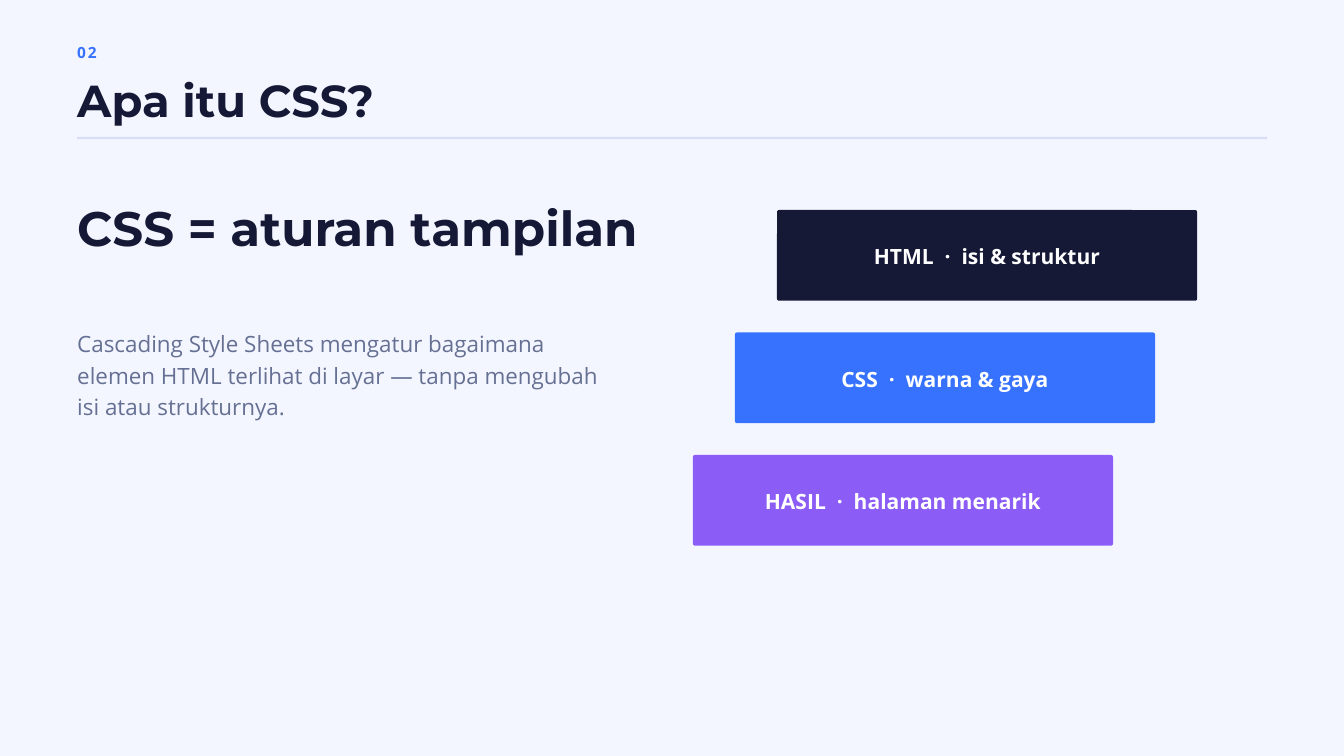
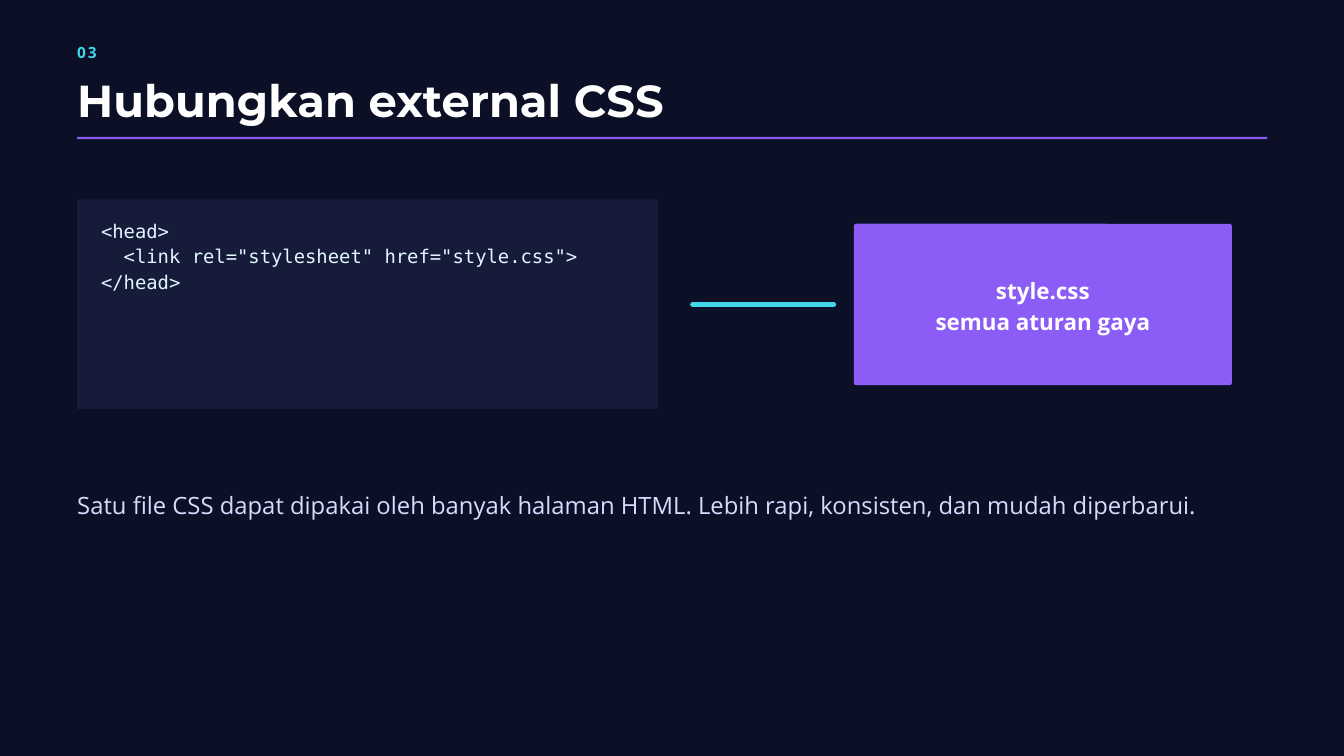
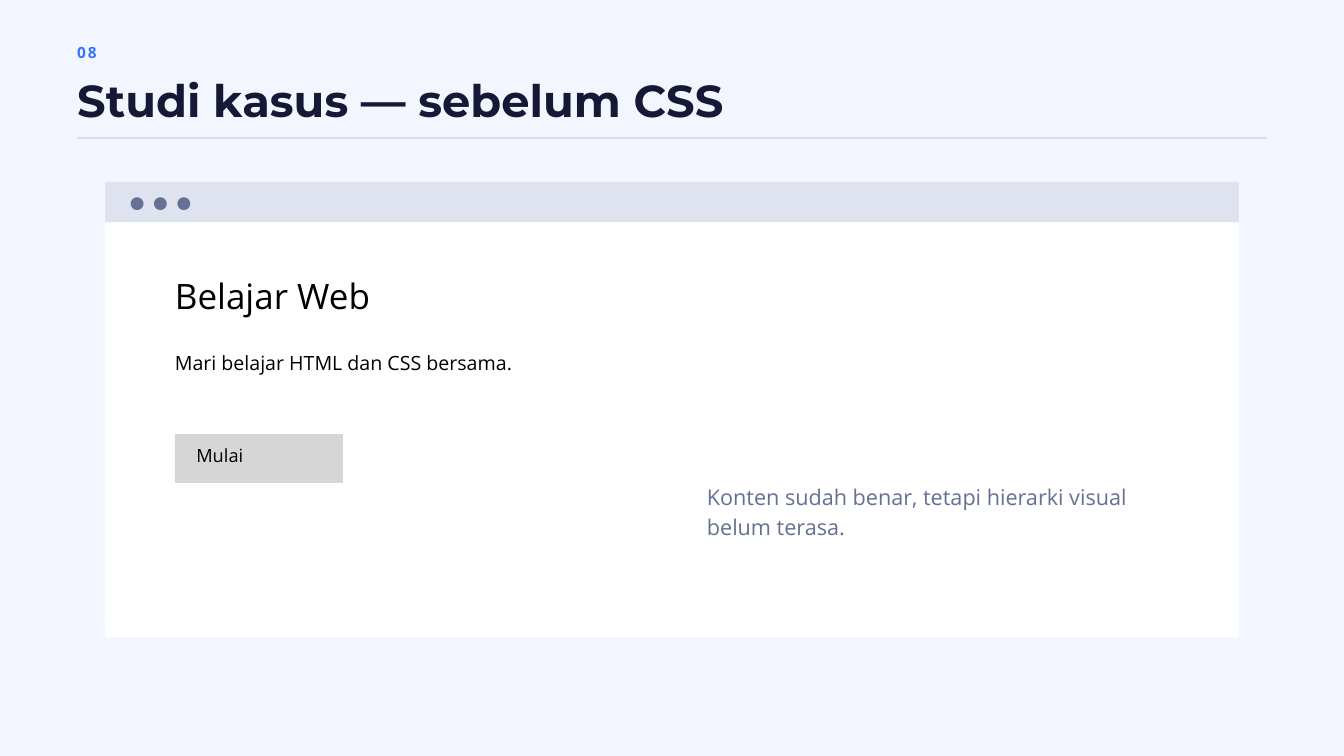
"""Build three slides of an introduction to CSS."""
from dataclasses import dataclass
from typing import NamedTuple

from lxml import etree
from pptx import Presentation
from pptx.dml.color import RGBColor
from pptx.enum.shapes import MSO_CONNECTOR, MSO_SHAPE
from pptx.enum.text import MSO_ANCHOR, PP_ALIGN
from pptx.oxml.ns import qn
from pptx.util import Cm, Pt

RECTANGLE = MSO_SHAPE.RECTANGLE
ROUNDED = MSO_SHAPE.ROUNDED_RECTANGLE
STRAIGHT = MSO_CONNECTOR.STRAIGHT
TOP, MIDDLE = MSO_ANCHOR.TOP, MSO_ANCHOR.MIDDLE
LEFT, CENTER = PP_ALIGN.LEFT, PP_ALIGN.CENTER


class Box(NamedTuple):
    """A place on the slide, in centimetres."""

    left: float
    top: float
    width: float
    height: float

    def inner(self, dx, dy, width, height):
        """Return a box placed relative to this one."""
        return Box(self.left + dx, self.top + dy, width, height)

    def lengths(self):
        """Return the four lengths for python-pptx."""
        return [Cm(length) for length in self]


class TextStyle(NamedTuple):
    """A font with its size in points and its leading."""

    size: float
    font: str = "Open Sans"
    bold: bool = False
    leading: float = 1.4
    tracking: float = 0


class Palette(NamedTuple):
    """The colours of a light or dark slide."""

    background: str
    number: str
    title: str
    rule: str
    body: str


@dataclass(frozen=True)
class Theme:
    """Colours and type sizes of the deck."""

    navy: str = "151936"
    blue: str = "3772FF"
    violet: str = "8B5CF6"
    cyan: str = "42D7E8"
    slate: str = "657093"
    white: str = "FFFFFF"
    black: str = "000000"
    code_panel: str = "151B38"
    code_text: str = "DFF7FF"
    browser_bar: str = "DFE3EF"
    button: str = "D6D6D6"
    light: Palette = Palette("F4F6FF", blue, navy, "D8DEF5", slate)
    dark: Palette = Palette("0B1026", cyan, white, violet, "D7DCFF")

    number: TextStyle = TextStyle(16.5, bold=True, tracking=2)
    title: TextStyle = TextStyle(48, "Montserrat", True, 1.05)
    headline: TextStyle = TextStyle(51.8, "Montserrat", True, 1.05)
    body: TextStyle = TextStyle(24)
    layer: TextStyle = TextStyle(22.5, bold=True)
    card: TextStyle = TextStyle(24, bold=True)
    code: TextStyle = TextStyle(20.2, "DejaVu Sans Mono", leading=1.35)
    note: TextStyle = TextStyle(25.5)
    dots: TextStyle = TextStyle(18)
    page_heading: TextStyle = TextStyle(37.5)
    page_text: TextStyle = TextStyle(21)
    button_text: TextStyle = TextStyle(19.5)
    remark: TextStyle = TextStyle(23.2)


THEME = Theme()
PAGE = Box(0, 0, 50.8, 28.58)
MARGIN = 2.92
CORNER = 0.08
LABEL_INSETS = (0.15, 0.08, 0.15, 0.15)


def write(frame, lines, style, color, align=LEFT, anchor=TOP, insets=(0, 0, 0, 0)):
    """Fill a text frame with one paragraph per line."""
    frame.word_wrap = True
    frame.vertical_anchor = anchor
    (frame.margin_left, frame.margin_top,
     frame.margin_right, frame.margin_bottom) = [Cm(inset) for inset in insets]
    for index, line in enumerate(lines):
        paragraph = frame.add_paragraph() if index else frame.paragraphs[0]
        paragraph.alignment = align
        paragraph.line_spacing = Pt(style.size * style.leading)
        run = paragraph.add_run()
        run.text = line
        run.font.name = style.font
        run.font.size = Pt(style.size)
        run.font.bold = style.bold
        run.font.color.rgb = RGBColor.from_string(color)
        if style.tracking:
            run._r.get_or_add_rPr().set("spc", str(int(style.tracking * 100)))


def add_text(slide, box, text, style, color):
    """Add a text box without insets."""
    write(slide.shapes.add_textbox(*box.lengths()).text_frame, [text], style, color)


def add_panel(slide, box, color, outline=RECTANGLE):
    """Add a flat filled shape."""
    panel = slide.shapes.add_shape(outline, *box.lengths())
    panel.shadow.inherit = False
    panel.fill.solid()
    panel.fill.fore_color.rgb = RGBColor.from_string(color)
    panel.line.fill.background()
    return panel


def add_label_card(slide, box, lines, style, color):
    """Add a slightly rounded card with centred white text."""
    card = add_panel(slide, box, color, ROUNDED)
    card.adjustments[0] = CORNER / box.height
    write(card.text_frame, lines, style, THEME.white, CENTER, MIDDLE, LABEL_INSETS)


def add_link_line(slide, left, right, y):
    """Add the round-ended line between code and file."""
    link = slide.shapes.add_connector(STRAIGHT, Cm(left), Cm(y), Cm(right), Cm(y))
    link.line.color.rgb = RGBColor.from_string(THEME.cyan)
    link.line.width = Pt(6)
    properties = link._element.spPr
    properties.find(qn("a:ln")).set("cap", "rnd")
    etree.SubElement(properties, qn("a:effectLst"))


def add_slide(deck, number, title, palette):
    """Add a slide with background, number, title and rule."""
    slide = deck.slides.add_slide(deck.slide_layouts[6])
    slide.background.fill.solid()
    slide.background.fill.fore_color.rgb = RGBColor.from_string(palette.background)
    header = Box(MARGIN, 1.52, 44.98, 3.74)
    add_text(slide, header.inner(0, 0, 4.78, 0.79), number, THEME.number, palette.number)
    add_text(slide, header.inner(0, 1.48, 39.68, 1.8), title, THEME.title, palette.title)
    add_panel(slide, header.inner(0, 3.66, header.width, 0.08), palette.rule)
    return slide


def add_layers(slide, box):
    """Stack the three layers, each stepping down and to the left."""
    layers = [
        ("HTML  ·  isi & struktur", THEME.navy),
        ("CSS  ·  warna & gaya", THEME.blue),
        ("HASIL  ·  halaman menarik", THEME.violet),
    ]
    width, height = 15.88, 3.43
    step_x = (box.width - width) / (len(layers) - 1)
    step_y = (box.height - height) / (len(layers) - 1)
    for index, (label, color) in enumerate(layers):
        layer = box.inner(box.width - width - index * step_x, index * step_y, width, height)
        add_label_card(slide, layer, [label], THEME.layer, color)


def add_code_panel(slide, box):
    """Add the panel with the link element."""
    panel = add_panel(slide, box, THEME.code_panel)
    code = ["<head>", '  <link rel="stylesheet" href="style.css">', "</head>"]
    write(panel.text_frame, code, THEME.code, THEME.code_text, insets=(0.9, 0.66, 0.9, 0))


def add_browser(slide, box):
    """Draw the unstyled page in a browser window."""
    add_panel(slide, box, THEME.white)
    add_panel(slide, box.inner(0, 0, box.width, 1.52), THEME.browser_bar)
    add_text(slide, box.inner(0.94, 0.25, 4.78, 0.84), "●  ●  ●", THEME.dots, THEME.slate)
    indent = 2.64
    add_text(slide, box.inner(indent, 3.23, 26.47, 1.8), "Belajar Web",
             THEME.page_heading, THEME.black)
    add_text(slide, box.inner(indent, 6.25, 26.47, 0.99),
             "Mari belajar HTML dan CSS bersama.", THEME.page_text, THEME.black)
    button = add_panel(slide, box.inner(indent, 9.53, 6.35, 1.85), THEME.button)
    write(button.text_frame, ["Mulai"], THEME.button_text, THEME.black,
          insets=(0.81, 0.25, 0, 0))
    add_text(slide, box.inner(22.75, 11.25, 17.2, 2.24),
             "Konten sudah benar, tetapi hierarki visual belum terasa.",
             THEME.remark, THEME.slate)


def build_definition(deck):
    """Build the slide that explains what CSS is."""
    slide = add_slide(deck, "02", "Apa itu CSS?", THEME.light)
    add_text(slide, Box(MARGIN, 7.75, 21.69, 1.96), "CSS = aturan tampilan",
             THEME.headline, THEME.light.title)
    add_text(slide, Box(MARGIN, 12.32, 20.62, 3.43),
             "Cascading Style Sheets mengatur bagaimana elemen HTML terlihat di layar"
             " — tanpa mengubah isi atau strukturnya.", THEME.body, THEME.light.body)
    add_layers(slide, Box(26.19, 7.94, 19.06, 12.69))


def build_external_css(deck):
    """Build the slide that links a page to a style sheet."""
    slide = add_slide(deck, "03", "Hubungkan external CSS", THEME.dark)
    add_code_panel(slide, Box(MARGIN, 7.54, 21.96, 7.92))
    add_link_line(slide, 26.19, 31.5, 11.51)
    add_label_card(slide, Box(32.28, 8.46, 14.28, 6.1),
                   ["style.css", "semua aturan gaya"], THEME.card, THEME.violet)
    add_text(slide, Box(MARGIN, 18.39, 42.34, 1.19),
             "Satu file CSS dapat dipakai oleh banyak halaman HTML."
             " Lebih rapi, konsisten, dan mudah diperbarui.", THEME.note, THEME.dark.body)


def build_case_study(deck):
    """Build the slide with the page before CSS."""
    slide = add_slide(deck, "08", "Studi kasus — sebelum CSS", THEME.light)
    add_browser(slide, Box(3.97, 6.88, 42.86, 17.2))


def main():
    """Build and save the deck."""
    deck = Presentation()
    deck.slide_width, deck.slide_height = Cm(PAGE.width), Cm(PAGE.height)
    build_definition(deck)
    build_external_css(deck)
    build_case_study(deck)
    deck.save("out.pptx")


if __name__ == "__main__":
    main()
